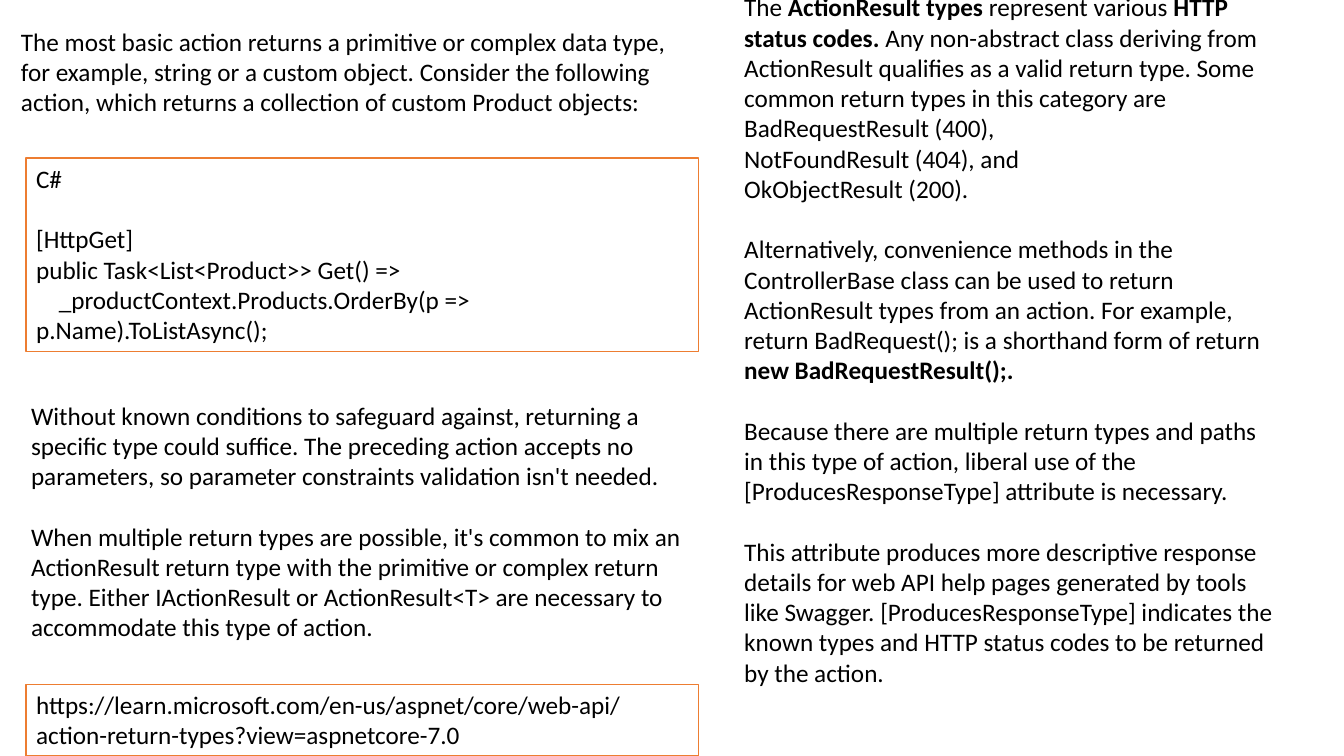
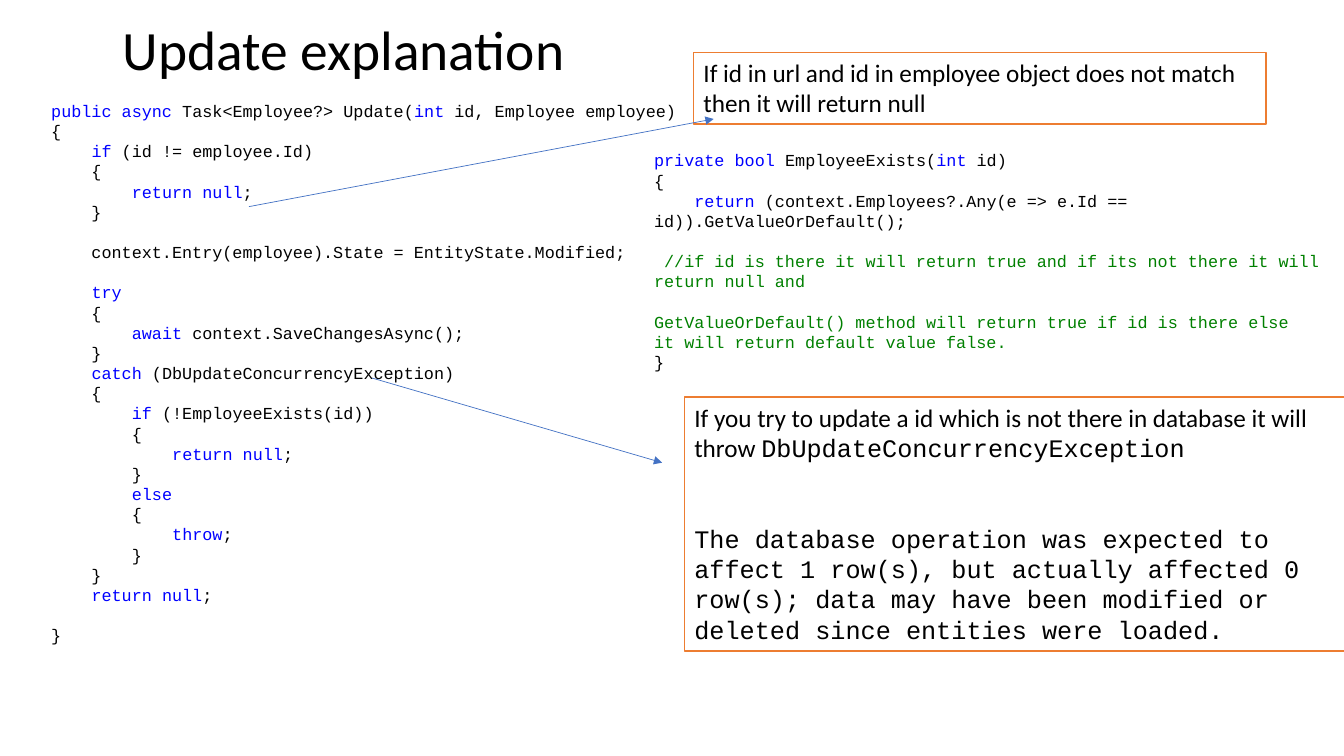
from dataclasses import dataclass

from lxml import etree
from pptx import Presentation
from pptx.dml.color import RGBColor
from pptx.enum import shapes, text
from pptx.oxml import ns
from pptx.util import Pt


@dataclass(frozen=True)
class Theme:
    ink: str = "000000"
    paper: str = "FFFFFF"
    frame: str = "ED7D31"
    arrow: str = "4472C4"
    keyword: str = "0000FF"
    comment: str = "008000"
    prose_font: str = "Calibri"
    code_font: str = "Courier New"
    title_size: float = 39.6
    prose_size: float = 18
    code_size: float = 12
    leading: float = 1.2


theme = Theme()
accents = {
    "bold": {"bold": True},
    "mono": {"name": theme.code_font},
    "key": {"color": theme.keyword},
    "note": {"color": theme.comment},
}


def write(frame, blocks, face, size):
    """Write one paragraph per line, with a gap of one line between blocks.

    An empty line inside a block widens the gap before the next paragraph.
    A stretch such as |bold:words| takes the accent of that name.
    """
    frame.word_wrap = True
    line_height = size * theme.leading
    gap = 0
    paragraph = frame.paragraphs[0]
    lines = [line for block in blocks for line in ["", *block.strip("\n").split("\n")]]
    for number, line in enumerate(lines[1:]):
        if not line:
            gap += line_height
            continue
        if number:
            paragraph = frame.add_paragraph()
        paragraph.alignment = text.PP_ALIGN.LEFT
        paragraph.line_spacing = Pt(line_height)
        paragraph.space_before = Pt(gap)
        gap = 0
        for index, stretch in enumerate(line.split("|")):
            if not stretch:
                continue
            look = {"name": face, "size": Pt(size), "color": theme.ink}
            if index % 2:
                accent, _, stretch = stretch.partition(":")
                look.update(accents[accent])
            run = paragraph.add_run()
            run.text = stretch
            run.font.color.rgb = RGBColor.from_string(look.pop("color"))
            for attribute, value in look.items():
                setattr(run.font, attribute, value)


def add_panel(slide, place, *blocks, framed=False, face=theme.prose_font, size=theme.prose_size):
    place = [Pt(length) for length in place]
    if framed:
        panel = slide.shapes.add_shape(shapes.MSO_SHAPE.RECTANGLE, *place)
        panel.shadow.inherit = False
        panel.fill.solid()
        panel.fill.fore_color.rgb = RGBColor.from_string(theme.paper)
        panel.line.color.rgb = RGBColor.from_string(theme.frame)
        panel.line.width = Pt(1)
    else:
        panel = slide.shapes.add_textbox(*place)
    panel.text_frame.vertical_anchor = text.MSO_ANCHOR.TOP
    write(panel.text_frame, blocks, face, size)


deck = Presentation()
deck.slide_width, deck.slide_height = Pt(960), Pt(540)

# Action return types
returns = deck.slides.add_slide(deck.slide_layouts[6])
column_left, column_width = 18.7, 480.2

add_panel(returns, (7.9, 15.1, 487.4, 72.7), """
The most basic action returns a primitive or complex data type, for example, string or a custom object. Consider the following action, which returns a collection of custom Product objects:
""")
add_panel(returns, (column_left, 113, column_width, 138.2), "C#", """
[HttpGet]
public Task<List<Product>> Get() =>
    _productContext.Products.OrderBy(p => p.Name).ToListAsync();
""", framed=True)
add_panel(returns, (15.1, 282.2, column_width, 182.2), """
Without known conditions to safeguard against, returning a specific type could suffice. The preceding action accepts no parameters, so parameter constraints validation isn't needed.
""", """
When multiple return types are possible, it's common to mix an ActionResult return type with the primitive or complex return type. Either IActionResult or ActionResult<T> are necessary to accommodate this type of action.
""")
add_panel(returns, (524.5, -9.4, 397.4, 509), """
The |bold:ActionResult types |represent various |bold:HTTP status codes.| Any non-abstract class deriving from ActionResult qualifies as a valid return type. Some common return types in this category are BadRequestResult (400),
NotFoundResult (404), and
OkObjectResult (200).
""", """
Alternatively, convenience methods in the ControllerBase class can be used to return ActionResult types from an action. For example, return BadRequest(); is a shorthand form of return |bold:new BadRequestResult();.|
""", """
Because there are multiple return types and paths in this type of action, liberal use of the [ProducesResponseType] attribute is necessary.
""", """
This attribute produces more descriptive response details for web API help pages generated by tools like Swagger. [ProducesResponseType] indicates the known types and HTTP status codes to be returned by the action.
""")
add_panel(returns, (column_left, 488.9, column_width, 51.1), """
https://learn.microsoft.com/en-us/aspnet/core/web-api/action-return-types?view=aspnetcore-7.0
""", framed=True)

# Update explanation
update = deck.slides.add_slide(deck.slide_layouts[5])
heading = update.shapes.title
for side, length in {"left": 80.6, "top": 13.7, "width": 798.5, "height": 47.5}.items():
    setattr(heading, side, Pt(length))
heading.text_frame.text = "Update explanation"
heading.text_frame.auto_size = text.MSO_AUTO_SIZE.NONE
heading.text_frame.vertical_anchor = text.MSO_ANCHOR.MIDDLE
heading_line = heading.text_frame.paragraphs[0]
heading_line.alignment = text.PP_ALIGN.LEFT
heading_line.line_spacing = 0.9
heading_font = heading_line.runs[0].font
heading_font.name, heading_font.size = theme.prose_font, Pt(theme.title_size)
heading_font.color.rgb = RGBColor.from_string(theme.ink)

code_style = {"face": theme.code_font, "size": theme.code_size}
add_panel(update, (22.3, 68.4, 486.7, 399.6), """
 |key:public async| Task<Employee?> Update(|key:int| id, Employee employee)
 {
     |key:if| (id != employee.Id)
     {
         |key:return null|;
     }
""", """
     context.Entry(employee).State = EntityState.Modified;
""", """
     |key:try|
     {
         |key:await |context.SaveChangesAsync();
     }
     |key:catch| (DbUpdateConcurrencyException)
     {
         |key:if| (!EmployeeExists(id))
         {
             |key:return null|;
         }
         |key:else|
         {
             |key:throw|;
         }
     }
     |key:return null|;
""", " }", **code_style)
add_panel(update, (460.1, 103.7, 527, 152.6), """
|key:private bool |EmployeeExists(|key:int| id)
{
    |key:return| (context.Employees?.Any(e => e.Id == id)).GetValueOrDefault();
""", """
 |note://if id is there it will return true and if its not there it will return null and|
""", """
|note:GetValueOrDefault() method will return true if id is there else|
|note:it will return default value false.|
}
""", **code_style)
add_panel(update, (488.9, 283.7, 477.4, 181.4), """
If you try to update a id which is not there in database it will throw |mono:DbUpdateConcurrencyException|


|mono:The database operation was expected to affect 1 row(s), but actually affected 0 row(s); data may have been modified or deleted since entities were loaded.|
""", framed=True)
add_panel(update, (495.4, 37.4, 409, 51.1), """
If id in url and id in employee object does not match then it will return null
""", framed=True)

for ends in [(265.7, 270, 473, 330.5), (177.8, 147.6, 509.8, 85)]:
    arrow = update.shapes.add_connector(
        shapes.MSO_CONNECTOR.STRAIGHT, *[Pt(length) for length in ends])
    arrow.line.color.rgb = RGBColor.from_string(theme.arrow)
    arrow.line.width = Pt(0.5)
    etree.SubElement(arrow.line._get_or_add_ln(), ns.qn("a:tailEnd"), type="triangle")
    etree.SubElement(arrow._element.spPr, ns.qn("a:effectLst"))

deck.save("out.pptx")
